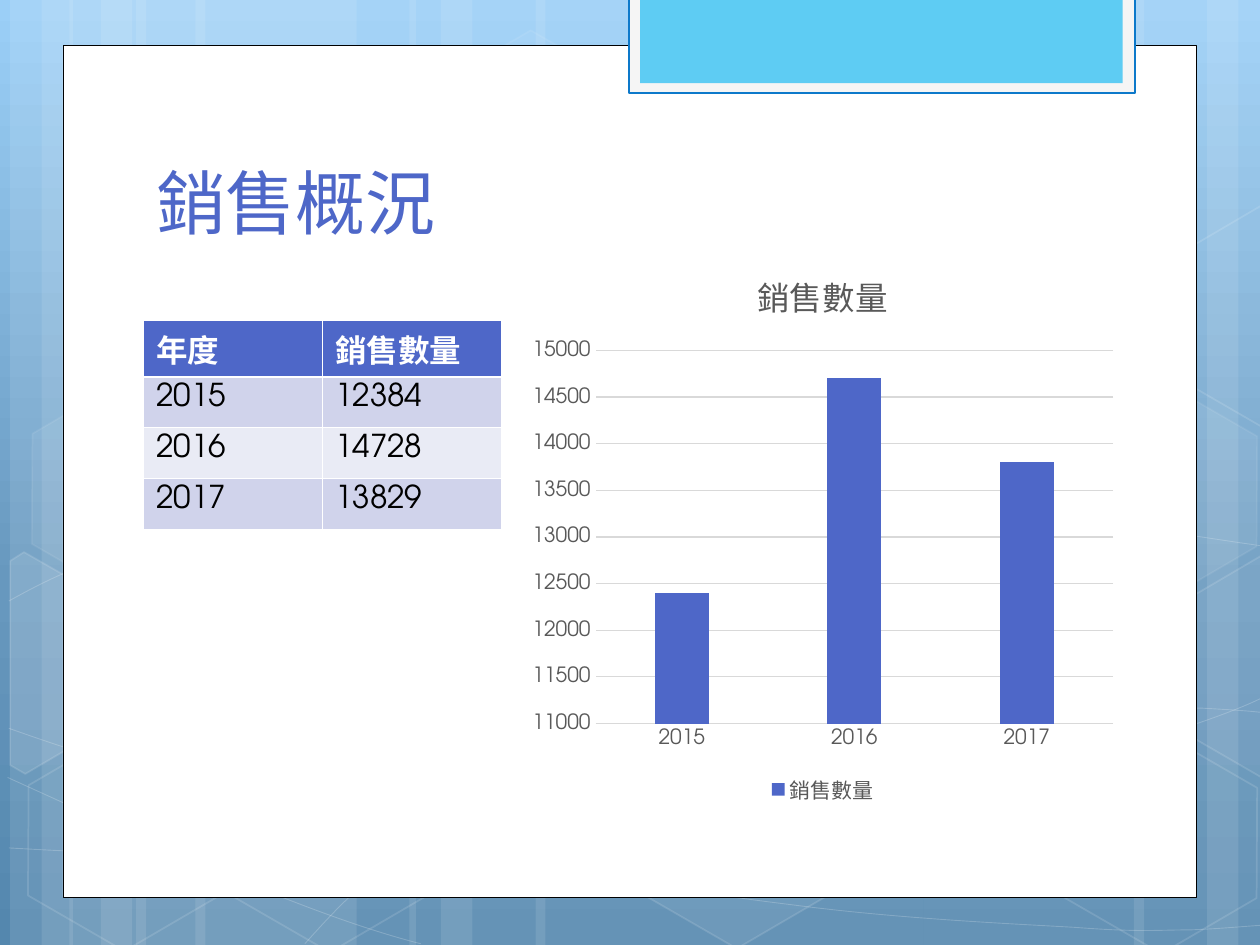
from copy import deepcopy
from math import cos, radians, sin
from typing import NamedTuple, Optional

from lxml.etree import SubElement
from pptx import Presentation
from pptx.chart.data import CategoryChartData
from pptx.dml.color import RGBColor
from pptx.enum.chart import XL_CHART_TYPE as ChartType, XL_LEGEND_POSITION as LegendPos
from pptx.enum.chart import XL_TICK_MARK as Tick
from pptx.enum.shapes import MSO_SHAPE as Shape
from pptx.enum.text import MSO_ANCHOR as Anchor
from pptx.oxml.ns import qn
from pptx.util import Inches, Pt

FONT = "TeX Gyre Adventor"
WHITE, BLACK, BLUE, GRAY, RULE = "FFFFFF", "000000", "4E67C8", "595959", "D9D9D9"
SALES_LABEL = "銷售數量"
TILT = 30


class Band(NamedTuple):
    left: float
    width: float


class Hexagon(NamedTuple):
    left: float
    top: float
    fill_alpha: Optional[int]
    line_alpha: int


class CutHexagon(NamedTuple):
    center: tuple
    points: list
    fill_alpha: Optional[int] = None


def rgb(color: str) -> RGBColor:
    return RGBColor.from_string(color)


def style_font(font, size: float, color: str, bold: bool = False) -> None:
    font.name, font.size, font.bold = FONT, Pt(size), bold
    font.color.rgb = rgb(color)


def set_alpha(sp, prefix: str, percent: int) -> None:
    if percent < 100:
        for clr in sp._element.spPr.xpath(prefix + "a:solidFill/a:srgbClr"):
            SubElement(clr, qn("a:alpha"), val=str(percent * 1000))


def style_shape(sp, fill: Optional[str], line: Optional[str] = None, width: float = 1,
                fill_alpha: int = 100, line_alpha: int = 100) -> None:
    sp.shadow.inherit = False
    if fill:
        sp.fill.solid()
        sp.fill.fore_color.rgb = rgb(fill)
        set_alpha(sp, "", fill_alpha)
    else:
        sp.fill.background()
    if line:
        sp.line.color.rgb = rgb(line)
        sp.line.width = Pt(width)
        set_alpha(sp, "a:ln/", line_alpha)
    else:
        sp.line.fill.background()


def add_box(s, left: float, top: float, width: float, height: float, kind=Shape.RECTANGLE):
    return s.shapes.add_shape(kind, Inches(left), Inches(top), Inches(width), Inches(height))


def add_outline(s, points: list, close: bool):
    start, *rest = [(Inches(x), Inches(y)) for x, y in points]
    builder = s.shapes.build_freeform(*start)
    builder.add_line_segments(rest, close=close)
    return builder.convert_to_shape()


def add_curve(s, points: list):
    """Draw a start point followed by cubic Bezier triples."""
    sp = add_outline(s, points, False)
    outline = sp._element.find(".//" + qn("a:path"))
    segments = outline.findall(qn("a:lnTo"))
    for i in range(0, len(segments), 3):
        bezier = SubElement(outline, qn("a:cubicBezTo"))
        for segment in segments[i:i + 3]:
            bezier.append(segment[0])
            outline.remove(segment)
    return sp


def turn_back(points: list, center: tuple) -> list:
    """Undo the tilt of the points about a center."""
    cx, cy = center
    c, n = cos(radians(TILT)), sin(radians(TILT))
    return [(cx + (x - cx) * c + (y - cy) * n, cy - (x - cx) * n + (y - cy) * c)
            for x, y in points]


prs = Presentation()
prs.slide_width, prs.slide_height = Inches(10), Inches(7.5)
s = prs.slides.add_slide(prs.slide_layouts[6])

# Background gradient
bg = s.background.fill
bg.gradient()
bg.gradient_angle = 270
stop_list = s._element.find(".//" + qn("a:gsLst"))
stop_list.append(deepcopy(stop_list[-1]))
for stop, (pos, color) in zip(bg.gradient_stops, ((0, "9BCFF7"), (0.62, "6798BE"), (1, "5487AE"))):
    stop.position = pos
    stop.color.rgb = rgb(color)

# Translucent vertical bands
BANDS = [Band(1.08, 1.75), Band(0.08, 0.5), Band(0.33, 0.83), Band(1.55, 1.75),
         Band(0.55, 0.5), Band(0.8, 0.83), Band(7.33, 1.75), Band(9.58, 0.5),
         Band(9, 0.83), Band(4.25, 3.08), Band(3.25, 0.5), Band(3.5, 0.83)]
for band in BANDS:
    style_shape(add_box(s, band.left, 0, band.width, 7.5), WHITE, fill_alpha=10)

# Fine curves
CURVES = [
    [(0.07, 6.73), (0.61, 6.76), (1.15, 6.79), (1.9, 6.78), (2.65, 6.77), (3.58, 6.75),
     (4.58, 6.65), (5.58, 6.55), (7, 6.36), (7.92, 6.17), (8.83, 5.98), (9.77, 5.68),
     (10.07, 5.51)],
    [(0.07, 4.77), (0.36, 4.61), (0.65, 4.46), (1.21, 4.31), (1.78, 4.16), (2.59, 3.94),
     (3.47, 3.87), (4.36, 3.8), (5.44, 3.79), (6.54, 3.87), (7.64, 3.95), (9.47, 4.26),
     (10.07, 4.34)],
    [(0.06, 6.17), (1.27, 6.72), (2.47, 7.27), (3.34, 7.49)],
    [(0.07, 5.78), (0.38, 5.89), (0.7, 6), (1.28, 6.16), (1.86, 6.31), (2.73, 6.56),
     (3.57, 6.73), (4.4, 6.9), (5.45, 7.08), (6.28, 7.18), (7.11, 7.29), (8, 7.33),
     (8.53, 7.36), (9.05, 7.4), (9.19, 7.38), (9.45, 7.38), (9.71, 7.37), (9.89, 7.35),
     (10.07, 7.34)],
    [(2.42, 7.49), (2.6, 7.29), (2.78, 7.09), (3.02, 6.91), (3.26, 6.73), (3.6, 6.53),
     (3.88, 6.39), (4.16, 6.25), (4.33, 6.19), (4.7, 6.09), (5.06, 5.99), (5.73, 5.85),
     (6.08, 5.78), (6.44, 5.71), (6.49, 5.71), (6.8, 5.69), (7.11, 5.66), (7.6, 5.63),
     (7.94, 5.62), (8.29, 5.61), (8.86, 5.62), (8.86, 5.62), (8.86, 5.62), (9.53, 5.62),
     (9.53, 5.62), (9.71, 5.63), (9.88, 5.64), (9.97, 5.65), (10.06, 5.66), (10.03, 5.65),
     (10.06, 5.66)],
]
for curve in CURVES:
    style_shape(add_curve(s, curve), None, WHITE, 0.5, line_alpha=20)

# Hexagons, whole and cut at the slide edge
HEXAGONS = [Hexagon(3.34, 0.36, 4, 8), Hexagon(4.97, 5.89, 6, 12), Hexagon(0.11, 5.91, None, 12),
            Hexagon(0.14, 3.12, 7, 8), Hexagon(1.74, 5.92, None, 12),
            Hexagon(8.34, 5.93, None, 12), Hexagon(8.34, 3.14, 7, 8)]
for item in HEXAGONS:
    sp = add_box(s, item.left, item.top, 1.75, 1.52, Shape.HEXAGON)
    sp.adjustments[0] = 0.285
    sp.rotation = TILT
    style_shape(sp, WHITE if item.fill_alpha else None, WHITE, 1,
                item.fill_alpha or 100, item.line_alpha)

CUT_HEXAGONS = [
    CutHexagon((0.36, 5.35), [(0.08, 4.45), (0.19, 4.38), (0.96, 4.82), (0.95, 5.7),
                              (0.2, 6.14), (0.08, 6.07)], 10),
    CutHexagon((9.85, 5.2), [(9.26, 4.85), (10.01, 4.41), (10.09, 4.46), (10.09, 6.13),
                             (10.02, 6.17), (9.26, 5.73)], 4),
    CutHexagon((9.85, 2.41), [(9.26, 2.07), (10.01, 1.63), (10.1, 1.68), (10.09, 3.35),
                              (10.02, 3.39), (9.26, 2.95)]),
]
for cut in CUT_HEXAGONS:
    sp = add_outline(s, turn_back(cut.points, cut.center), True)
    sp.rotation = TILT
    style_shape(sp, WHITE if cut.fill_alpha else None, WHITE, 1, cut.fill_alpha or 100, 12)

# White panel and top tab
style_shape(add_box(s, 0.5, 0.36, 9, 6.76), WHITE, BLACK, 0.5)
style_shape(add_box(s, 4.99, -0.02, 4.02, 0.76), "F5F5F5", "0D79CA", 1.25)
style_shape(add_box(s, 5.08, -0.02, 3.83, 0.68), "5ECCF3")

# Title
tf = s.shapes.add_textbox(Inches(1.14), Inches(1.12), Inches(7.68), Inches(0.81)).text_frame
tf.word_wrap = True
tf.vertical_anchor = Anchor.BOTTOM
tf.margin_top = tf.margin_bottom = 0
tf.text = "銷售概況"
style_font(tf.paragraphs[0].runs[0].font, 40, BLUE)

# Sales table
ROWS = [("年度", SALES_LABEL), ("2015", "12384"), ("2016", "14728"), ("2017", "13829")]
table = s.shapes.add_table(len(ROWS), 2, Inches(1.14), Inches(2.54),
                           Inches(2.84), Inches(1.62)).table
table.rows[0].height = Inches(0.45)
for r, row in enumerate(ROWS):
    header = r == 0
    for c, text in enumerate(row):
        cell = table.cell(r, c)
        cell.text = text
        style_font(cell.text_frame.paragraphs[0].runs[0].font, 18,
                   WHITE if header else BLACK, header)
        cell.fill.solid()
        cell.fill.fore_color.rgb = rgb(BLUE if header else ("E9EBF5", "D0D3EB")[r % 2])

# Sales chart
data = CategoryChartData()
data.categories = [year for year, _ in ROWS[1:]]
data.add_series(SALES_LABEL, [round(int(count), -2) for _, count in ROWS[1:]])
chart = s.shapes.add_chart(ChartType.COLUMN_CLUSTERED, Inches(4.13), Inches(1.94),
                           Inches(4.8), Inches(4.49), data).chart
style_font(chart.font, 10, BLACK)
chart.has_title = True
chart.chart_title.text_frame.text = SALES_LABEL
style_font(chart.chart_title.text_frame.paragraphs[0].runs[0].font, 18.6, GRAY)
chart.has_legend = True
chart.legend.position = LegendPos.BOTTOM
chart.legend.include_in_layout = False
style_font(chart.legend.font, 12, GRAY)

plot = chart.plots[0]
plot.gap_width, plot.overlap, plot.vary_by_categories = 219, -27, False
bars = plot.series[0].format.fill
bars.solid()
bars.fore_color.rgb = rgb(BLUE)

years, counts = chart.category_axis, chart.value_axis
for axis in (years, counts):
    axis.major_tick_mark = axis.minor_tick_mark = Tick.NONE
    style_font(axis.tick_labels.font, 12, GRAY)
counts.minimum_scale, counts.maximum_scale, counts.major_unit = 11000, 15000, 500
counts.format.line.fill.background()
for line in (years.format.line, counts.major_gridlines.format.line):
    line.color.rgb = rgb(RULE)
    line.width = Pt(0.75)

prs.save("out.pptx")
